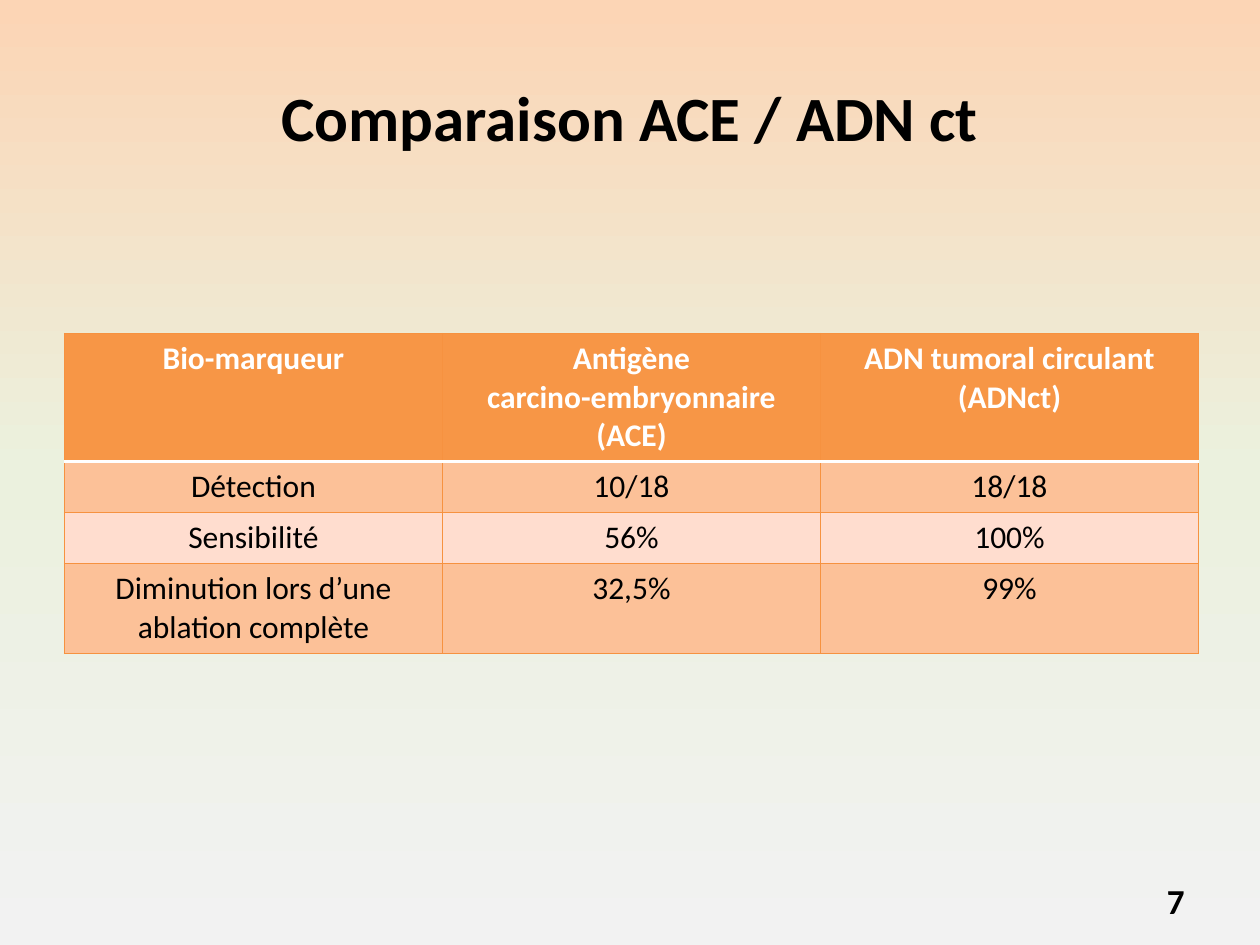
from copy import deepcopy
from dataclasses import dataclass

from lxml import etree
from pptx import Presentation
from pptx.dml.color import RGBColor
from pptx.enum.text import MSO_ANCHOR, PP_ALIGN
from pptx.oxml.ns import qn
from pptx.slide import Slide
from pptx.table import _Cell
from pptx.text.text import TextFrame
from pptx.util import Cm, Pt

CENTER, RIGHT = PP_ALIGN.CENTER, PP_ALIGN.RIGHT
MIDDLE = MSO_ANCHOR.MIDDLE

BLACK = RGBColor(0x00, 0x00, 0x00)
WHITE = RGBColor(0xFF, 0xFF, 0xFF)
ORANGE = RGBColor(0xF7, 0x96, 0x46)
BORDER = RGBColor(0xF6, 0x92, 0x40)
BAND_DARK = RGBColor(0xFC, 0xC1, 0x98)
BAND_LIGHT = RGBColor(0xFF, 0xDD, 0xCF)
BACKGROUND = (
    (0, RGBColor(0xFC, 0xD5, 0xB5)),
    (0.5, RGBColor(0xEB, 0xF1, 0xDE)),
    (1, RGBColor(0xF2, 0xF2, 0xF2)),
)
FONT = "Calibri"


@dataclass(frozen=True)
class TableRow:
    texts: tuple[str, str, str]
    height: float
    fill: RGBColor
    color: RGBColor = BLACK
    bold: bool = False


ROWS = (
    TableRow(
        ("Bio-marqueur", "Antigène\ncarcino-embryonnaire\n(ACE)",
         "ADN tumoral circulant (ADNct)"),
        2.58, ORANGE, WHITE, True),
    TableRow(("Détection", "10/18", "18/18"), 1.03, BAND_DARK),
    TableRow(("Sensibilité", "56%", "100%"), 1.03, BAND_LIGHT),
    TableRow(("Diminution lors d’une ablation complète", "32,5%", "99%"),
             1.81, BAND_DARK),
)


def write(frame: TextFrame, text: str, size: float, color: RGBColor,
          bold: bool, align: PP_ALIGN) -> None:
    frame.word_wrap = True
    frame.text = text
    for para in frame.paragraphs:
        para.alignment = align
        para.font.name = FONT
        para.font.size = Pt(size)
        para.font.bold = bold
        para.font.color.rgb = color


def paint_background(slide: Slide) -> None:
    fill = slide.background.fill
    fill.gradient()
    fill.gradient_angle = 270
    stop_list = slide.element.find(".//" + qn("a:gsLst"))
    stop_list.append(deepcopy(stop_list[-1]))
    for stop, (position, color) in zip(fill.gradient_stops, BACKGROUND):
        stop.position = position
        stop.color.rgb = color


def add_border(cell: _Cell, side: str, color: RGBColor, width: float) -> None:
    line = etree.SubElement(cell._tc.get_or_add_tcPr(), qn(f"a:ln{side}"),
                            w=str(Pt(width)))
    solid = etree.SubElement(line, qn("a:solidFill"))
    etree.SubElement(solid, qn("a:srgbClr"), val=str(color))


def add_comparison(slide: Slide, rows: tuple[TableRow, ...]) -> None:
    frame = slide.shapes.add_table(
        len(rows), len(rows[0].texts), Cm(1.3), Cm(6.72), Cm(22.86),
        Cm(sum(row.height for row in rows)))
    table = frame.table
    for row_index, row in enumerate(rows):
        table.rows[row_index].height = Cm(row.height)
        for column_index, text in enumerate(row.texts):
            cell = table.cell(row_index, column_index)
            write(cell.text_frame, text, 18, row.color, row.bold, CENTER)
            for side in "LRTB":
                # A white rule separates the header from the body
                is_rule = (row_index, side) in ((0, "B"), (1, "T"))
                add_border(cell, side, *((WHITE, 2) if is_rule else (BORDER, 0.75)))
            cell.fill.solid()
            cell.fill.fore_color.rgb = row.fill


def main() -> None:
    deck = Presentation()
    deck.slide_width, deck.slide_height = Cm(25.4), Cm(19.05)
    slide = deck.slides.add_slide(deck.slide_layouts[5])
    paint_background(slide)

    # Title
    title = slide.shapes.title
    title.left, title.top = Cm(1.27), Cm(0.76)
    title.width, title.height = Cm(22.86), Cm(3.18)
    write(title.text_frame, "Comparaison ACE / ADN ct", 36, BLACK, True, CENTER)
    title.text_frame.vertical_anchor = MIDDLE

    # Biomarker table
    add_comparison(slide, ROWS)

    # Page number
    box = slide.shapes.add_textbox(Cm(18.21), Cm(17.65), Cm(5.92), Cm(1.02))
    write(box.text_frame, "7", 20, BLACK, True, RIGHT)
    box.text_frame.vertical_anchor = MIDDLE

    deck.save("out.pptx")


if __name__ == "__main__":
    main()
